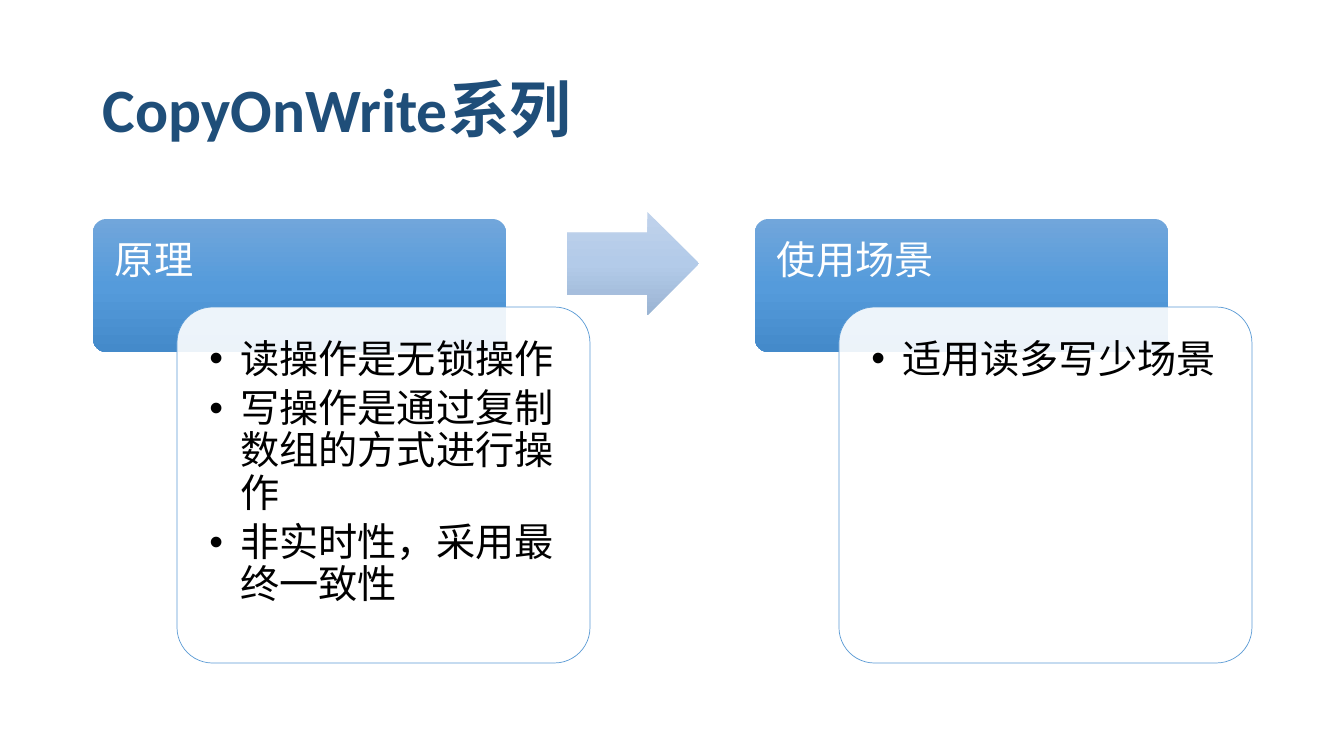
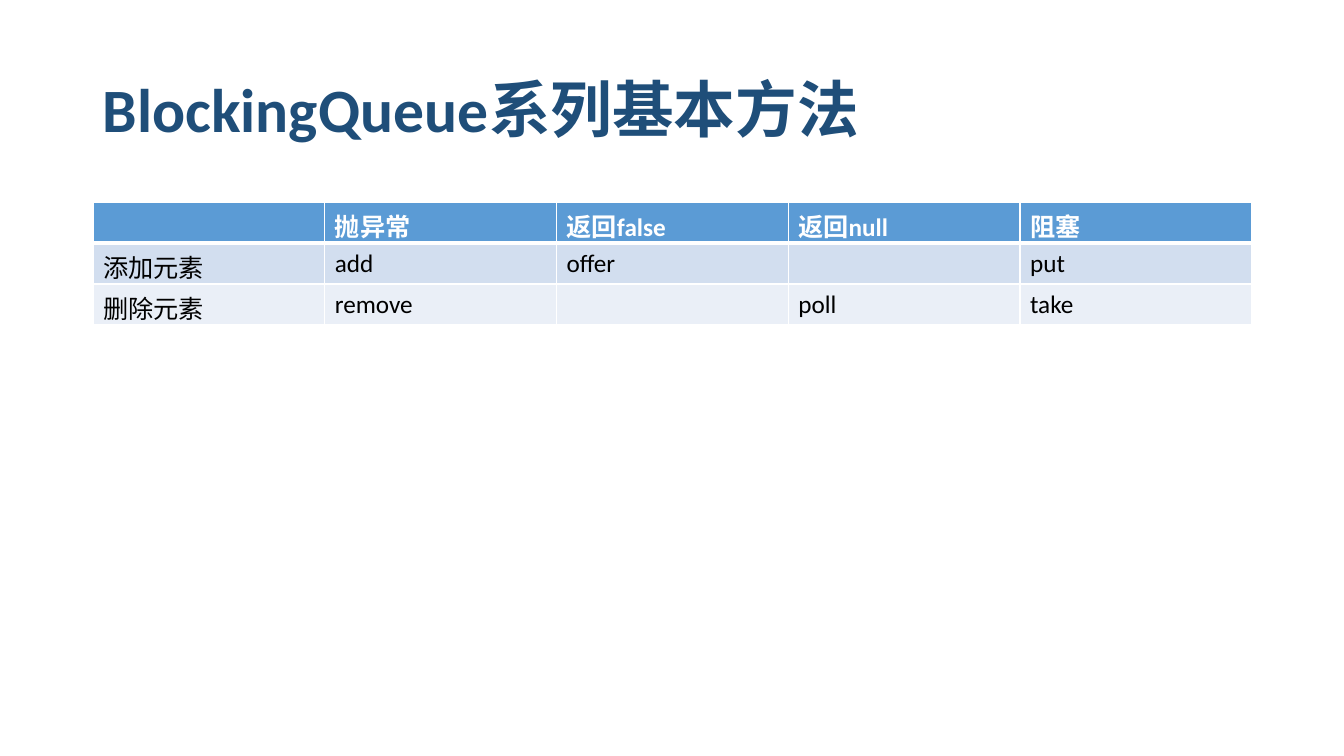
from copy import deepcopy

from pptx import Presentation
from pptx.dml.color import RGBColor
from pptx.enum.shapes import MSO_SHAPE
from pptx.enum.text import MSO_ANCHOR, PP_ALIGN
from pptx.oxml.ns import qn
from pptx.util import Emu, Pt
from lxml.etree import SubElement

SLIDE_W, SLIDE_H = 1344, 756
LEFT, CONTENT_W = 93, 1159
FONT = "Calibri"
NAVY = RGBColor(0x1F, 0x4E, 0x79)
BLUE = RGBColor(0x5B, 0x9B, 0xD5)
WHITE = RGBColor(0xFF, 0xFF, 0xFF)
BLACK = RGBColor(0x00, 0x00, 0x00)
BANDS = [RGBColor(0xD2, 0xDE, 0xEF), RGBColor(0xEA, 0xEF, 0xF7)]
HEADING_GRADIENT = [RGBColor(0x71, 0xA6, 0xDB), RGBColor(0x55, 0x9B, 0xDB), RGBColor(0x44, 0x8A, 0xCA)]
ARROW_GRADIENT = [RGBColor(0xC0, 0xD2, 0xEB), RGBColor(0xB3, 0xCB, 0xE9), RGBColor(0x9B, 0xB4, 0xD3)]

TOPICS = [
    ("原理", ["读操作是无锁操作", "写操作是通过复制数组的方式进行操作", "非实时性，采用最终一致性"]),
    ("使用场景", ["适用读多写少场景"]),
]
METHODS = [
    ["", "抛异常", "返回false", "返回null", "阻塞"],
    ["添加元素", "add", "offer", "", "put"],
    ["删除元素", "remove", "", "poll", "take"],
]


def px(n):
    """Turn pixels into EMU."""
    return Emu(round(n * 12192000 / SLIDE_W))


def style_text(tf, size, color, bold=False, spacing=None):
    """Format every run and paragraph of a text frame."""
    for p in tf.paragraphs:
        p.alignment = PP_ALIGN.LEFT
        p.line_spacing = spacing
        for r in p.runs:
            r.font.name = FONT
            r.font.size = Pt(size)
            r.font.bold = bold
            r.font.color.rgb = color


def add_shape(slide, kind, x, y, w, h, adjustments):
    """Add a preset shape without shadow or outline."""
    sp = slide.shapes.add_shape(kind, px(x), px(y), px(w), px(h))
    sp.shadow.inherit = False
    sp.line.fill.background()
    for i, value in enumerate(adjustments):
        sp.adjustments[i] = value
    return sp


def fill_gradient(sp, colors):
    """Fill a shape with a three-stop gradient from top to bottom."""
    sp.fill.gradient()
    sp.fill.gradient_angle = 270
    stops = sp._element.spPr.find(".//" + qn("a:gsLst"))
    stops.append(deepcopy(stops[-1]))
    for stop, color, position in zip(sp.fill.gradient_stops, colors, (0, 0.5, 1)):
        stop.color.rgb = color
        stop.position = position


def set_text(sp, lines, inset, color):
    """Write top-anchored paragraphs into a shape."""
    tf = sp.text_frame
    tf.word_wrap = True
    tf.vertical_anchor = MSO_ANCHOR.TOP
    tf.margin_left = tf.margin_right = tf.margin_top = tf.margin_bottom = px(inset)
    tf.text = "\n".join(lines)
    style_text(tf, 28, color, spacing=0.9)


def add_bullet(p):
    """Give a paragraph a hanging bullet."""
    p.space_after = Pt(5)
    pPr = p._p.get_or_add_pPr()
    pPr.set("marL", str(px(31)))
    pPr.set("indent", str(-px(31)))
    SubElement(pPr, qn("a:buFont")).set("typeface", "Arial")
    SubElement(pPr, qn("a:buChar")).set("char", "•")


def add_titled_slide(prs, title):
    """Add a blank slide with the shared title."""
    slide = prs.slides.add_slide(prs.slide_layouts[6])
    tf = slide.shapes.add_textbox(px(LEFT), px(40), px(CONTENT_W), px(146)).text_frame
    tf.word_wrap = True
    tf.vertical_anchor = MSO_ANCHOR.MIDDLE
    tf.text = title
    style_text(tf, 44, NAVY, bold=True, spacing=0.9)
    return slide


def add_topic(slide, x, y, w, h, heading, points):
    """Place a heading with an overlapping card of bullets in a box."""
    dx, dy = 84, 88
    sp = add_shape(slide, MSO_SHAPE.ROUNDED_RECTANGLE, x, y, w - dx, 133, [0.1])
    fill_gradient(sp, HEADING_GRADIENT)
    set_text(sp, [heading], 18, WHITE)

    card = add_shape(slide, MSO_SHAPE.ROUNDED_RECTANGLE, x + dx, y + dy, w - dx, h - dy, [0.1])
    card.fill.solid()
    card.fill.fore_color.rgb = WHITE
    rgb = card._element.spPr.find(qn("a:solidFill")).find(qn("a:srgbClr"))
    SubElement(rgb, qn("a:alpha")).set("val", "90000")
    card.line.color.rgb = BLUE
    card.line.width = Pt(0.5)
    set_text(card, points, 22, BLACK)
    for p in card.text_frame.paragraphs:
        add_bullet(p)


def add_topics(slide, x, y, w, h, topics):
    """Place the topics side by side with an arrow between each pair."""
    topic_w = 497
    step = (w - topic_w) // (len(topics) - 1)
    for i, (heading, points) in enumerate(topics):
        left = x + i * step
        if i:
            arrow = add_shape(slide, MSO_SHAPE.RIGHT_ARROW, left - 188, y - 7, 132, 103, [0.6, 0.5])
            fill_gradient(arrow, ARROW_GRADIENT)
        add_topic(slide, left, y, topic_w, h, heading, points)


def add_border(cell, side, width):
    """Draw one white border of a cell."""
    ln = SubElement(cell._tc.get_or_add_tcPr(), qn("a:ln" + side))
    ln.set("w", str(Pt(width)))
    fill = SubElement(ln, qn("a:solidFill"))
    SubElement(fill, qn("a:srgbClr")).set("val", str(WHITE))


def add_method_table(slide, x, y, w, h, rows):
    """Place a table with a header row and banded body rows."""
    table = slide.shapes.add_table(len(rows), len(rows[0]), px(x), px(y), px(w), px(h)).table
    for i, row in enumerate(rows):
        header = i == 0
        widths = {"L": 1, "R": 1, "T": 3 if i == 1 else 1, "B": 3 if header else 1}
        for j, text in enumerate(row):
            cell = table.cell(i, j)
            for side, width in widths.items():
                add_border(cell, side, width)
            cell.fill.solid()
            cell.fill.fore_color.rgb = BLUE if header else BANDS[(i - 1) % 2]
            cell.text_frame.text = text
            style_text(cell.text_frame, 18, WHITE if header else BLACK, bold=header)


def main():
    """Build and save the presentation."""
    prs = Presentation()
    prs.slide_width, prs.slide_height = px(SLIDE_W), px(SLIDE_H)
    slide = add_titled_slide(prs, "CopyOnWrite系列")
    add_topics(slide, LEFT, 219, CONTENT_W, 444, TOPICS)
    slide = add_titled_slide(prs, "BlockingQueue系列基本方法")
    add_method_table(slide, LEFT, 202, CONTENT_W, 123, METHODS)
    prs.save("out.pptx")


if __name__ == "__main__":
    main()
